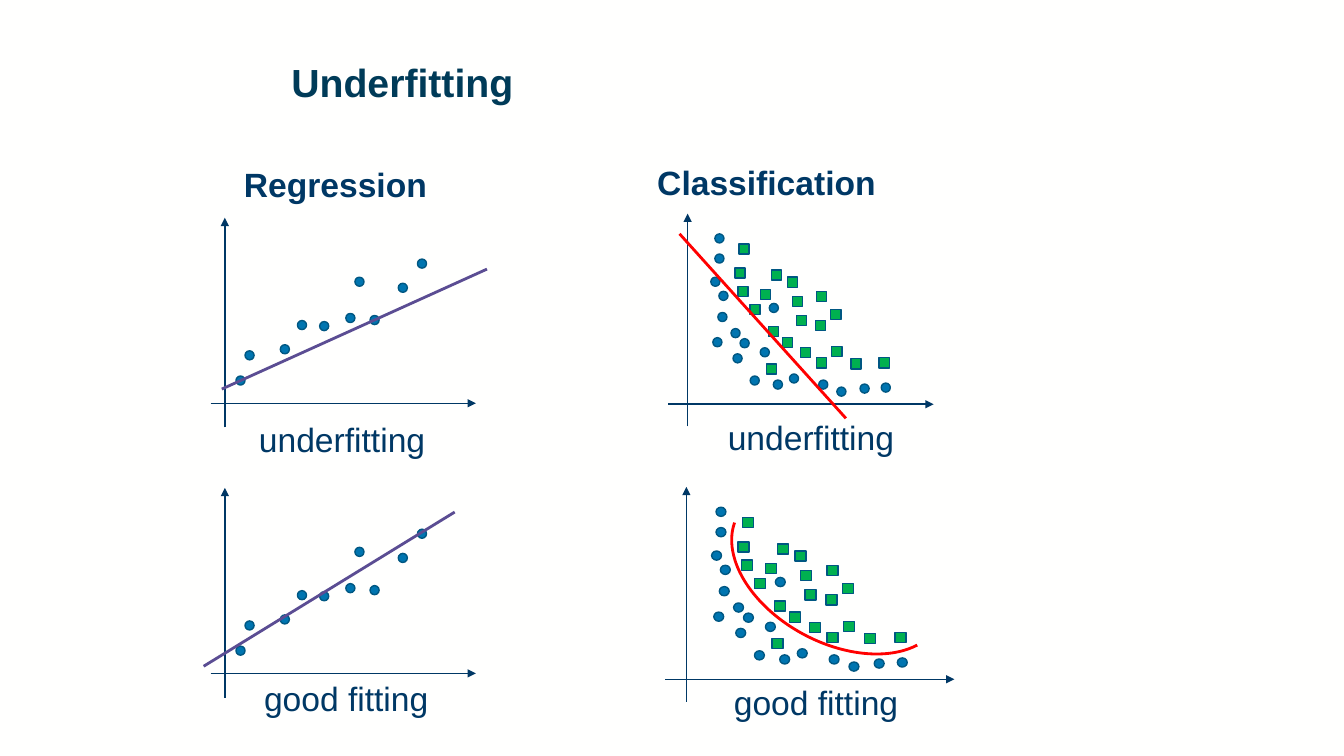
"""Build a slide comparing underfitting and good fitting in regression and classification."""
import lxml.etree
import pptx
import pptx.dml.color
import pptx.enum.shapes
import pptx.enum.text
import pptx.oxml.ns
import pptx.util

RGBColor = pptx.dml.color.RGBColor
SHAPE = pptx.enum.shapes.MSO_SHAPE
INK = RGBColor(0x00, 0x38, 0x65)
TITLE_INK = RGBColor(0x00, 0x3B, 0x58)
PAPER = RGBColor(0xFF, 0xFF, 0xFE)
OUTLINE = RGBColor(0x00, 0x57, 0x82)
BLUE = RGBColor(0x00, 0x75, 0xB0)
GREEN = RGBColor(0x00, 0xB0, 0x50)
PURPLE = RGBColor(0x5B, 0x4D, 0x93)
RED = RGBColor(0xFF, 0x00, 0x00)

SLIDE_SIZE = (13.33, 7.5)
CELL = 0.01
TITLE = ("Underfitting", (2.79, 0.58, 10.07, 0.97))
LABELS = [
    ("Regression", (2.32, 1.58, 3.21, 0.5), True),
    ("Classification", (6.42, 1.56, 2.92, 0.5), True),
    ("underfitting", (2.47, 4.11, 2.17, 0.5), False),
    ("underfitting", (7.12, 4.09, 1.98, 0.5), False),
    ("good fitting", (2.52, 6.68, 1.98, 0.5), False),
    ("good fitting", (7.18, 6.72, 1.98, 0.5), False),
]

REGRESSION_DOTS = [
    (34, 132), (69, 126), (86, 102), (134, 95), (143, 59),
    (186, 65), (205, 41), (158, 97), (25, 157), (108, 103),
]
CLASS_DOTS = [
    (44, 123), (64, 139), (81, 161), (42, 63), (49, 98), (71, 124),
    (62, 114), (91, 133), (100, 89), (120, 159), (46, 20), (50, 77),
    (104, 165), (149, 165), (190, 169), (46, 40), (167, 172), (211, 168),
]
CLASS_SQUARES = [
    (102, 56), (99, 112), (113, 123), (131, 133), (118, 63), (123, 82), (66, 54),
    (91, 75), (97, 149), (147, 77), (161, 95), (146, 106), (162, 132), (147, 143),
    (181, 144), (127, 101), (81, 90), (70, 30), (69, 72), (209, 143),
]
REGRESSION = {
    "axes": [((0, 184), (263, 184)), ((14, 208), (14, 0))],
    "marks": [(SHAPE.OVAL, BLUE, 9, REGRESSION_DOTS)],
}
CLASSIFICATION = {
    "axes": [((0, 189), (263, 189)), ((19, 211), (19, 0))],
    "marks": [(SHAPE.OVAL, BLUE, 9, CLASS_DOTS), (SHAPE.RECTANGLE, GREEN, 10, CLASS_SQUARES)],
}
PLOTS = [
    (REGRESSION, (2.09, 2.16), (1, 1), ((11, 170), (274, 51)), PURPLE),
    (CLASSIFICATION, (6.63, 2.12), (1, 1), ((11, 20), (176, 203)), RED),
    (REGRESSION, (2.09, 4.84), (1, 1), ((-7, 177), (242, 24)), PURPLE),
    (CLASSIFICATION, (6.6, 4.83), (1.09, 1.01), None, RED),
]
CURVE = {"box": (7.18, 4.93, 2.27, 1.45), "rotation": 208, "angles": (117.34, 213.93)}


def inches(values):
    return [pptx.util.Inches(value) for value in values]


def apply(target, values):
    for name, value in values.items():
        setattr(target, name, value)


def write(frame, text, font_values, line_spacing=None):
    apply(frame, {"word_wrap": True, "vertical_anchor": pptx.enum.text.MSO_ANCHOR.TOP})
    paragraph = frame.paragraphs[0]
    paragraph.text = text
    apply(paragraph, {"alignment": pptx.enum.text.PP_ALIGN.LEFT, "line_spacing": line_spacing})
    apply(paragraph.font, {"name": "Arial", **font_values})
    paragraph.font.color.rgb = TITLE_INK if line_spacing else INK


def add_line(shapes, start, end, color, width, arrow=False):
    straight = pptx.enum.shapes.MSO_CONNECTOR.STRAIGHT
    connector = shapes.add_connector(straight, *inches(start), *inches(end))
    connector.line.color.rgb = color
    connector.line.width = pptx.util.Pt(width)
    if arrow:
        line = connector.line._get_or_add_ln()
        lxml.etree.SubElement(line, pptx.oxml.ns.qn("a:tailEnd"), type="triangle")
    lxml.etree.SubElement(connector._element.spPr, pptx.oxml.ns.qn("a:effectLst"))


def add_mark(shapes, kind, box, fill):
    mark = shapes.add_shape(kind, *inches(box))
    mark.shadow.inherit = False
    mark.fill.solid()
    mark.fill.fore_color.rgb = fill
    mark.line.color.rgb = OUTLINE
    mark.line.width = pptx.util.Pt(1)


def add_curve(shapes, color):
    curve = shapes.add_shape(SHAPE.ARC, *inches(CURVE["box"]))
    curve.shadow.inherit = False
    curve.rotation = CURVE["rotation"]
    for index, angle in enumerate(CURVE["angles"]):
        curve.adjustments[index] = angle
    curve.fill.background()
    curve.line.color.rgb = color
    curve.line.width = pptx.util.Pt(2)


def add_plot(slide, plot, origin, scale, fit, color):
    def place(point):
        return [start + step * CELL * factor for start, step, factor in zip(origin, point, scale)]

    shapes = slide.shapes.add_group_shape().shapes
    for start, end in plot["axes"]:
        add_line(shapes, place(start), place(end), INK, 1, arrow=True)
    for kind, fill, size, points in plot["marks"]:
        extent = [size * CELL * factor for factor in scale]
        for point in points:
            add_mark(shapes, kind, place(point) + extent, fill)
    if fit:
        add_line(shapes, place(fit[0]), place(fit[1]), color, 2)
    else:
        add_curve(shapes, color)


def main():
    presentation = pptx.Presentation()
    presentation.slide_width, presentation.slide_height = inches(SLIDE_SIZE)
    slide = presentation.slides.add_slide(presentation.slide_layouts[5])
    slide.background.fill.solid()
    slide.background.fill.fore_color.rgb = PAPER

    text, box = TITLE
    title = slide.shapes.title
    apply(title, dict(zip(("left", "top", "width", "height"), inches(box))))
    write(title.text_frame, text, {"size": pptx.util.Pt(28), "bold": True}, 0.9)

    for plot in PLOTS:
        add_plot(slide, *plot)
    for text, box, bold in LABELS:
        frame = slide.shapes.add_textbox(*inches(box)).text_frame
        write(frame, text, {"size": pptx.util.Pt(24), "bold": bold})
        frame.auto_size = pptx.enum.text.MSO_AUTO_SIZE.SHAPE_TO_FIT_TEXT
    presentation.save("out.pptx")


if __name__ == "__main__":
    main()
